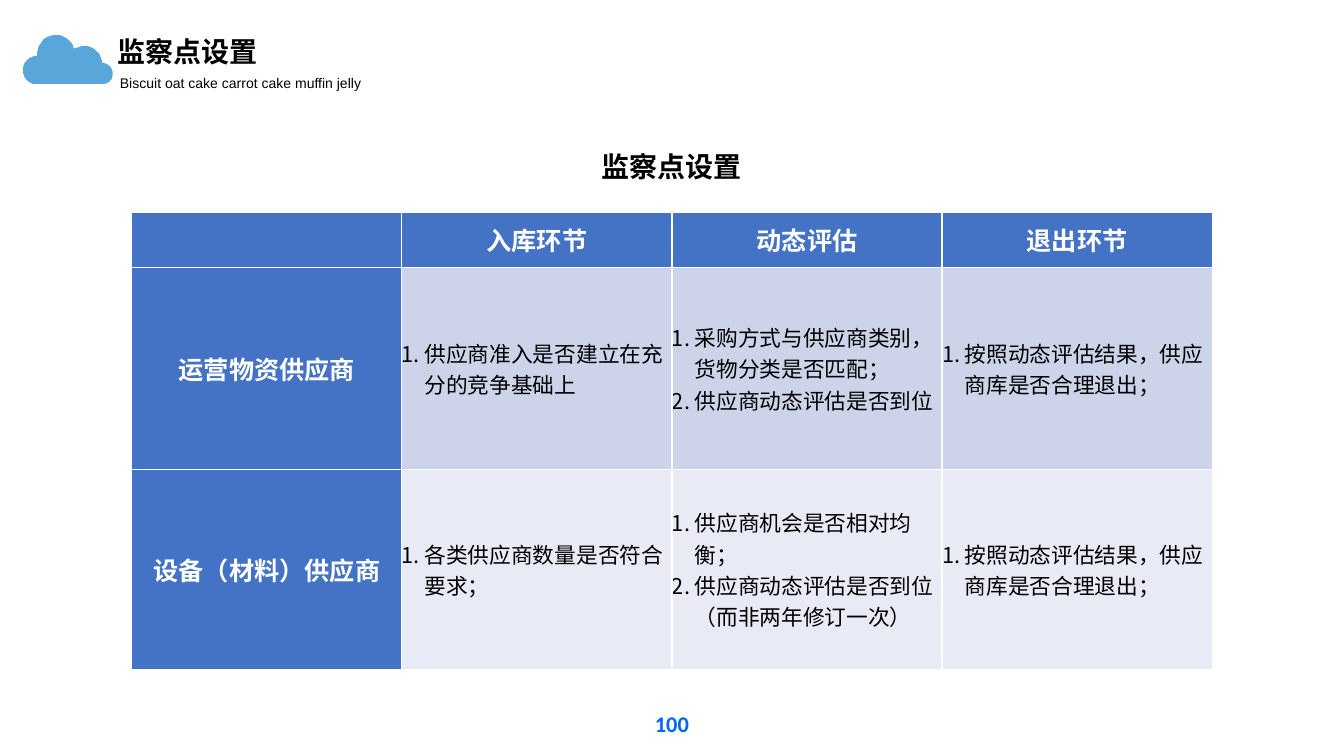
import math
from dataclasses import dataclass

import lxml.etree
import pptx
import pptx.dml.color
import pptx.enum.text
import pptx.oxml.ns
import pptx.util

Pt = pptx.util.Pt
RGBColor = pptx.dml.color.RGBColor
ALIGN = pptx.enum.text.PP_ALIGN
ANCHOR = pptx.enum.text.MSO_ANCHOR
qn = pptx.oxml.ns.qn

BLACK = RGBColor(0x00, 0x00, 0x00)
WHITE = RGBColor(0xFF, 0xFF, 0xFF)
PAGE_BLUE = RGBColor(0x00, 0x65, 0xFA)
CLOUD_BLUE = RGBColor(0x58, 0xA6, 0xDA)
HEADER_BLUE = RGBColor(0x44, 0x72, 0xC4)
BANDS = (RGBColor(0xCD, 0xD4, 0xEA), RGBColor(0xE8, 0xEB, 0xF5))

CJK = "Noto Sans CJK SC"
HEADING = {"size": Pt(40), "bold": True, "name": CJK}
SUBTITLE = {"size": Pt(20), "bold": False, "name": "Arial"}
PAGE = {"size": Pt(32), "bold": True, "name": "Calibri"}
HEADER = {"size": Pt(36), "bold": True, "name": CJK}
BODY = {"size": Pt(31), "bold": False, "name": CJK}


@dataclass
class Label:
    text: str
    left: float
    top: float
    width: float
    height: float
    style: dict
    color: RGBColor = BLACK
    align: ALIGN = ALIGN.LEFT
    anchor: ANCHOR = ANCHOR.TOP
    wrap: bool = True


@dataclass
class Arc:
    x: float
    y: float
    radius: float
    start: int
    end: int


TITLE = Label("监察点设置", 161.3, 42.5, 541.4, 70.6, HEADING)
LABELS = [
    Label("100", 926, 1007.3, 67.7, 52.6, PAGE, PAGE_BLUE, ALIGN.CENTER, ANCHOR.MIDDLE),
    Label("Biscuit oat cake carrot cake muffin jelly", 164.2, 99.4, 421.9, 36.7, SUBTITLE),
    Label("监察点设置", 852.5, 206.6, 215.3, 70.6, HEADING, wrap=False),
]
CLOUD = [
    Arc(52.9, 100.1, 20.3, 90, 270),
    Arc(79.9, 76.6, 26.7, 173, 345),
    Arc(120.3, 91.6, 25.8, 236, 357),
    Arc(146.1, 105.2, 15.1, 270, 450),
]
COLUMNS = ["", "入库环节", "动态评估", "退出环节"]
EXIT_CHECK = ["按照动态评估结果，供应商库是否合理退出；"]
ROWS = [
    ("运营物资供应商",
     ["供应商准入是否建立在充分的竞争基础上"],
     ["采购方式与供应商类别，货物分类是否匹配；", "供应商动态评估是否到位"],
     EXIT_CHECK),
    ("设备（材料）供应商",
     ["各类供应商数量是否符合要求；"],
     ["供应商机会是否相对均衡；", "供应商动态评估是否到位（而非两年修订一次）"],
     EXIT_CHECK),
]
ROW_HEIGHTS = (78.8, 288.5, 285.8)
COLUMN_WIDTH = 385.9


def set_attributes(target, values: dict) -> None:
    for name, value in values.items():
        setattr(target, name, value)


def add_text(p, text: str, style: dict, color: RGBColor) -> None:
    r = p.add_run()
    r.text = text
    set_attributes(r.font, style)
    r.font.color.rgb = color
    lxml.etree.SubElement(r.font._element, qn("a:ea"), typeface=style["name"])


def fill_label(sp, label: Label) -> None:
    set_attributes(sp, {"left": Pt(label.left), "top": Pt(label.top),
                        "width": Pt(label.width), "height": Pt(label.height)})
    tf = sp.text_frame
    set_attributes(tf, {"word_wrap": label.wrap, "vertical_anchor": label.anchor,
                        "auto_size": pptx.enum.text.MSO_AUTO_SIZE.NONE})
    for side in ("left", "right", "top", "bottom"):
        setattr(tf, f"margin_{side}", Pt(7.2))
    p = tf.paragraphs[0]
    p.alignment = label.align
    add_text(p, label.text, label.style, label.color)


def draw_cloud(s, arcs: list[Arc], step: int = 4) -> None:
    points = []
    for arc in arcs:
        count = math.ceil((arc.end - arc.start) / step)
        for i in range(count + 1):
            angle = math.radians(arc.start + (arc.end - arc.start) * i / count)
            points.append((arc.x + arc.radius * math.cos(angle),
                           arc.y + arc.radius * math.sin(angle)))
    builder = s.shapes.build_freeform(*points[0], scale=Pt(1))
    builder.add_line_segments(points[1:], close=True)
    sp = builder.convert_to_shape()
    sp.shadow.inherit = False
    sp.fill.solid()
    sp.fill.fore_color.rgb = CLOUD_BLUE
    sp.line.fill.background()


def format_cell(cell, fill: RGBColor) -> None:
    tcPr = cell._tc.get_or_add_tcPr()
    for side in ("lnL", "lnR", "lnT", "lnB"):
        ln = lxml.etree.SubElement(tcPr, qn(f"a:{side}"), w=str(Pt(2)))
        solid = lxml.etree.SubElement(ln, qn("a:solidFill"))
        lxml.etree.SubElement(solid, qn("a:srgbClr"), val=str(WHITE))
    cell.fill.solid()
    cell.fill.fore_color.rgb = fill
    set_attributes(cell, {"vertical_anchor": ANCHOR.MIDDLE, "margin_left": 0,
                          "margin_right": 0, "margin_top": 0, "margin_bottom": 0})


def fill_header(cell, text: str) -> None:
    format_cell(cell, HEADER_BLUE)
    if text:
        p = cell.text_frame.paragraphs[0]
        p.alignment = ALIGN.CENTER
        add_text(p, text, HEADER, WHITE)


def fill_checks(cell, checks: list[str], fill: RGBColor) -> None:
    format_cell(cell, fill)
    tf = cell.text_frame
    for i, check in enumerate(checks):
        p = tf.add_paragraph() if i else tf.paragraphs[0]
        pPr = p._p.get_or_add_pPr()
        pPr.set("marL", str(Pt(32.4)))
        pPr.set("indent", str(-Pt(32.4)))
        pPr.set("hangingPunct", "0")
        lxml.etree.SubElement(pPr, qn("a:buAutoNum"), type="arabicPeriod")
        add_text(p, check, BODY, BLACK)


def draw_table(s) -> None:
    frame = s.shapes.add_table(len(ROW_HEIGHTS), len(COLUMNS), Pt(188.2), Pt(303.2),
                               Pt(COLUMN_WIDTH * len(COLUMNS)), Pt(sum(ROW_HEIGHTS)))
    table = frame.table
    for column in table.columns:
        column.width = Pt(COLUMN_WIDTH)
    for row, height in zip(table.rows, ROW_HEIGHTS):
        row.height = Pt(height)
    for c, text in enumerate(COLUMNS):
        fill_header(table.cell(0, c), text)
    for r, ((supplier, *checks), band) in enumerate(zip(ROWS, BANDS), 1):
        fill_header(table.cell(r, 0), supplier)
        for c, items in enumerate(checks, 1):
            fill_checks(table.cell(r, c), items, band)


def main() -> None:
    prs = pptx.Presentation()
    prs.slide_width, prs.slide_height = Pt(1920), Pt(1080)
    s = prs.slides.add_slide(prs.slide_layouts[5])
    fill_label(s.shapes.title, TITLE)
    draw_cloud(s, CLOUD)
    draw_table(s)
    for label in LABELS:
        fill_label(s.shapes.add_textbox(0, 0, 0, 0), label)
    prs.save("out.pptx")


if __name__ == "__main__":
    main()
